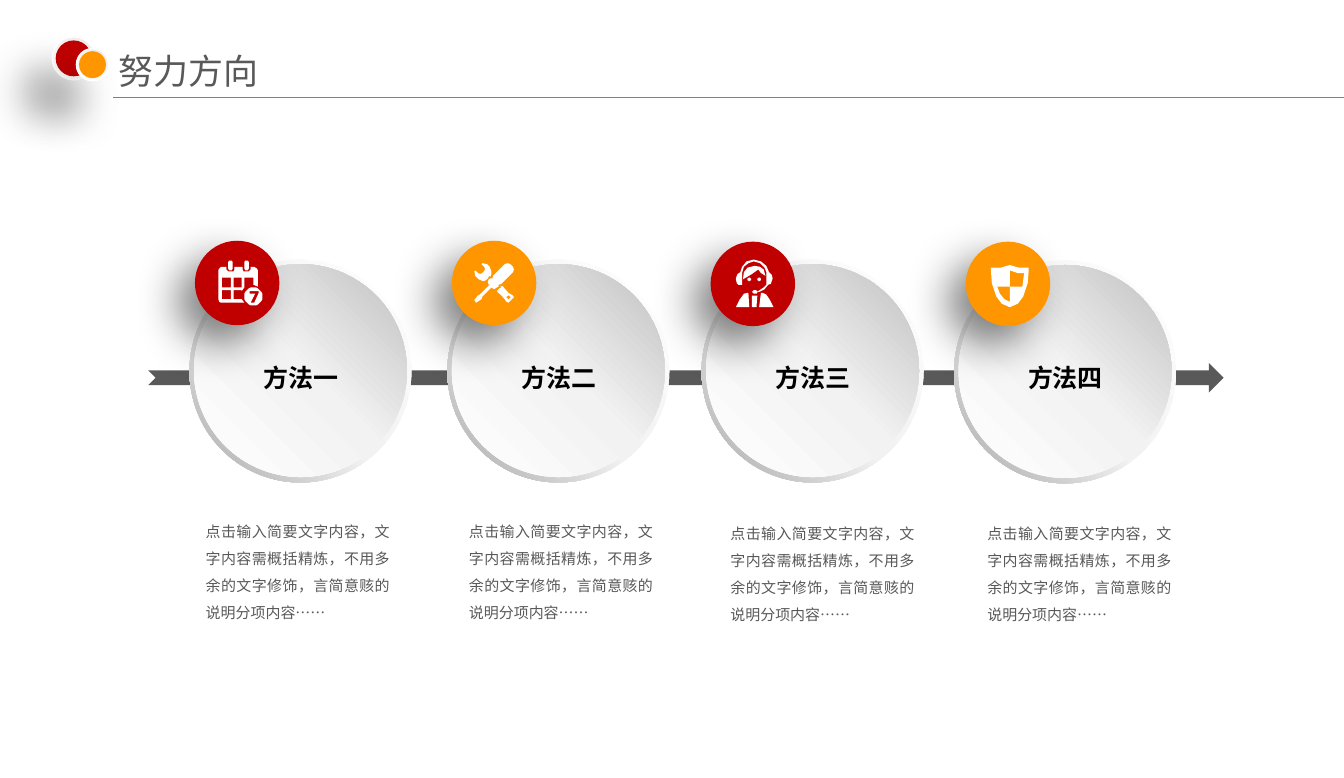
import math

import pptx
import pptx.dml.color
import pptx.enum.dml
import pptx.enum.shapes
import pptx.enum.text
import pptx.oxml.ns
import pptx.util
from lxml import etree

RGB = pptx.dml.color.RGBColor
SHAPE = pptx.enum.shapes.MSO_SHAPE
ALIGN = pptx.enum.text.PP_ALIGN
ANCHOR = pptx.enum.text.MSO_ANCHOR
AUTO = pptx.enum.text.MSO_AUTO_SIZE
qn = pptx.oxml.ns.qn

RED = RGB(0xC0, 0x00, 0x00)
ORANGE = RGB(0xFF, 0x96, 0x00)
WHITE = RGB(0xFF, 0xFF, 0xFF)
BLACK = RGB(0x00, 0x00, 0x00)
DARK = RGB(0x59, 0x59, 0x59)
RULE = RGB(0x80, 0x80, 0x80)
PALE = RGB(0xF2, 0xF2, 0xF2)
MIST = RGB(0xEB, 0xEB, 0xEB)
SNOW = RGB(0xFE, 0xFE, 0xFE)
SILVER = RGB(0xBF, 0xBF, 0xBF)
STEEL = RGB(0xA6, 0xA6, 0xA6)

RING_STOPS = [(0, WHITE), (55, PALE), (100, STEEL)]
DISC_STOPS = [(0, WHITE), (51, PALE), (100, SILVER)]
DOT_STOPS = [(0, MIST), (100, SNOW)]
BODY = "点击输入简要文字内容，文字内容需概括精炼，不用多余的文字修饰，言简意赅的说明分项内容……"


def px(n):
    """Hundredths of an inch in EMU."""
    return pptx.util.Emu(n * 9144)


def rect(x1, y1, x2, y2):
    return [(x1, y1), (x2, y1), (x2, y2), (x1, y2)]


def pill(x, y, w, h):
    """Upright bar with bevelled ends."""
    return [(x, y + 2), (x + 1, y), (x + w - 1, y), (x + w, y + 2),
            (x + w, y + h - 2), (x + w - 1, y + h), (x + 1, y + h), (x, y + h - 2)]


def circle(cx, cy, r):
    turns = [math.tau * i / 24 for i in range(24)]
    return [(cx + r * math.cos(a), cy + r * math.sin(a)) for a in turns]


# Icon outlines, measured from the top left corner of their badge
CALENDAR = [
    pill(37, 22, 5, 11), pill(55, 22, 5, 11),
    [(29, 29), (27, 31), (26, 33), (26, 65), (27, 68), (29, 69), (55, 69), (52, 65),
     (43, 65), (43, 55), (52, 55), (52, 56), (55, 52), (55, 41), (65, 41), (65, 49),
     (70, 51), (70, 33), (69, 31), (66, 29), (62, 29), (62, 32), (60, 34), (54, 34),
     (53, 32), (53, 29), (44, 29), (44, 32), (43, 34), (37, 34), (35, 32), (35, 29)],
    rect(30, 41, 40, 52), rect(43, 41, 52, 52), rect(30, 55, 40, 65),
    circle(65, 62, 10),
    [(61, 56), (71, 56), (71, 58), (66, 69), (62, 69), (67, 59), (61, 59)],
]
TOOLS = [
    circle(63, 63, 2),
    [(54, 50), (55, 52), (53, 53), (50, 56), (57, 63), (61, 68), (63, 69), (69, 63),
     (68, 61), (63, 58), (56, 50), (55, 51)],
    [(41, 40), (42, 39), (43, 40), (44, 37), (44, 34), (42, 29), (39, 26), (34, 25),
     (33, 26), (36, 29), (37, 32), (35, 35), (32, 37), (29, 36), (26, 33), (25, 34),
     (26, 39), (30, 43), (35, 45), (38, 44), (40, 42)],
    [(68, 29), (65, 26), (62, 25), (59, 26), (46, 39), (45, 42), (43, 42), (41, 43),
     (40, 46), (41, 49), (42, 49), (31, 60), (29, 61), (25, 66), (27, 69), (33, 65),
     (34, 62), (44, 52), (47, 54), (50, 52), (52, 51), (52, 49), (55, 48), (68, 35),
     (69, 32)],
]
AGENT = [
    [(48, 20), (40, 22), (35, 28), (33, 34), (30, 36), (28, 41), (29, 46), (31, 48),
     (35, 48), (35, 35), (37, 28), (42, 24), (48, 22), (55, 24), (60, 29), (62, 34),
     (62, 48), (59, 51), (53, 55), (52, 56), (54, 56), (60, 53), (64, 48), (67, 47),
     (69, 41), (68, 37), (65, 34), (62, 27), (56, 22)],
    [(49, 27), (41, 29), (37, 34), (36, 42), (46, 36), (53, 31), (56, 35), (61, 38),
     (59, 31), (55, 28)],
    circle(43, 42, 2), circle(54, 42, 2),
    [(50, 54), (48, 54), (46, 56), (48, 58), (51, 58), (52, 57), (52, 55)],
    [(58, 57), (56, 57), (54, 73), (70, 73), (66, 65), (62, 59)],
    [(41, 57), (42, 57), (43, 73), (28, 73), (32, 65), (37, 58)],
    [(46, 60), (52, 60), (51, 73), (46, 73)],
]
SHIELD = [
    [(28, 29), (39, 29), (49, 26), (59, 29), (70, 29), (70, 32), (69, 46), (64, 61),
     (58, 69), (49, 73), (40, 69), (34, 61), (29, 46), (28, 32)],
    [(49, 50), (63, 50), (65, 35), (58, 35), (49, 32)],
    [(49, 67), (49, 50), (35, 50), (38, 58), (43, 64)],
]

# label, ring left and top, badge left and top, body left and top, colour, icon
STEPS = [
    ("方法一", (211, 289), (217, 268), (229, 572), RED, CALENDAR),
    ("方法二", (498, 289), (503, 268), (522, 572), ORANGE, TOOLS),
    ("方法三", (781, 289), (791, 269), (813, 574), RED, AGENT),
    ("方法四", (1062, 290), (1075, 269), (1099, 574), ORANGE, SHIELD),
]


class Deck:
    font = "Noto Sans CJK SC"

    def __init__(self, s):
        self.s = s

    def run(self, p, text, size, color, bold=False):
        r = p.add_run()
        r.text = text
        f = r.font
        f.size, f.bold, f.name = pptx.util.Pt(size), bold, self.font
        f.color.rgb = color
        etree.SubElement(r._r.get_or_add_rPr(), qn("a:ea"), typeface=self.font)

    def title(self, text, x, y, w, h):
        sp = self.s.shapes.title
        sp.left, sp.top, sp.width, sp.height = map(px, (x, y, w, h))
        tf = sp.text_frame
        tf.vertical_anchor = ANCHOR.MIDDLE
        tf.margin_left = tf.margin_right = px(14)
        tf.margin_top = tf.margin_bottom = px(7)
        tf.paragraphs[0].alignment = ALIGN.LEFT
        self.run(tf.paragraphs[0], text, 28, DARK)

    def rule(self, x1, x2, y):
        c = self.s.shapes.add_connector(
            pptx.enum.shapes.MSO_CONNECTOR.STRAIGHT, px(x1), px(y), px(x2), px(y))
        c.line.color.rgb = RULE
        c.line.width = pptx.util.Pt(0.75)
        etree.SubElement(c._element.spPr, qn("a:effectLst"))

    def shape(self, kind, x, y, w, h, color=None):
        sp = self.s.shapes.add_shape(kind, px(x), px(y), px(w), px(h))
        sp.shadow.inherit = False
        sp.line.fill.background()
        if color is not None:
            sp.fill.solid()
            sp.fill.fore_color.rgb = color
        return sp

    def gradient(self, sp, stops, angle):
        """Fill with (percent, colour) stops along a clockwise angle."""
        sp.fill.gradient()
        sp.fill.gradient_angle = 360 - angle
        gs_list = sp._element.spPr.find(qn("a:gradFill")).find(qn("a:gsLst"))
        gs_list[:] = []
        for pos, color in stops:
            gs = etree.SubElement(gs_list, qn("a:gs"), pos=str(pos * 1000))
            etree.SubElement(gs, qn("a:srgbClr"), val=str(color))

    def shadow(self, sp, alpha, blur, dist, angle):
        effects = sp._element.spPr.find(qn("a:effectLst"))
        outer = etree.SubElement(
            effects, qn("a:outerShdw"), blurRad=str(blur * 12700), dist=str(dist * 12700),
            dir=str(angle * 60000), algn="ctr", rotWithShape="0")
        color = etree.SubElement(outer, qn("a:srgbClr"), val=str(BLACK))
        etree.SubElement(color, qn("a:alpha"), val=str(alpha * 1000))

    def dot(self, x, y, size, inset, color):
        """Coloured dot on a white-edged base with a shadow."""
        base = self.shape(SHAPE.OVAL, x, y, size, size)
        self.gradient(base, DOT_STOPS, 126)
        base.line.color.rgb = WHITE
        base.line.width = pptx.util.Pt(1)
        self.shadow(base, 38, 36, 35, 130)
        inner = size - 2 * inset
        self.shape(SHAPE.OVAL, x + inset, y + inset, inner, inner, color)

    def text(self, text, x, y, w, h, size, color, align, bold=False, wrap=True):
        tf = self.s.shapes.add_textbox(px(x), px(y), px(w), px(h)).text_frame
        tf.word_wrap = wrap
        tf.auto_size = AUTO.SHAPE_TO_FIT_TEXT
        p = tf.paragraphs[0]
        p.alignment = align
        if wrap:
            tf.margin_left = tf.margin_right = tf.margin_top = tf.margin_bottom = 0
            p.line_spacing = 1.5
        self.run(p, text, size, color, bold)

    def icon(self, outlines, x, y):
        fb = None
        for outline in outlines:
            points = [(x + dx, y + dy) for dx, dy in outline]
            if fb is None:
                fb = self.s.shapes.build_freeform(*points[0], scale=px(1))
            else:
                fb.move_to(*points[0])
            fb.add_line_segments(points[1:], close=True)
        sp = fb.convert_to_shape()
        sp.shadow.inherit = False
        sp.fill.solid()
        sp.fill.fore_color.rgb = WHITE
        sp.line.fill.background()

    def plate(self, label, x, y):
        ring = self.shape(SHAPE.DONUT, x, y, 247, 248)
        ring.adjustments[0] = 0.05
        self.gradient(ring, RING_STOPS, 135)
        disc = self.shape(SHAPE.OVAL, x + 5, y + 5, 237, 237)
        self.gradient(disc, DISC_STOPS, 315)
        self.text(label, x + 72, 399, 104, 44, 20, BLACK, ALIGN.CENTER, bold=True, wrap=False)

    def badge(self, x, y, color, outlines):
        sp = self.shape(SHAPE.OVAL, x, y, 94, 94, color)
        self.shadow(sp, 50, 35, 20, 135)
        self.icon(outlines, x, y)


def main():
    prs = pptx.Presentation()
    prs.slide_width, prs.slide_height = px(1496), px(866)
    deck = Deck(prs.slides.add_slide(prs.slide_layouts[5]))
    deck.rule(126, 1496, 109)
    deck.dot(58, 41, 48, 4, RED)
    deck.dot(85, 54, 36, 3, ORANGE)
    deck.title("努力方向", 118, 47, 520, 63)
    deck.shape(SHAPE.NOTCHED_RIGHT_ARROW, 165, 404, 1197, 33, DARK)
    for label, ring, badge, body, color, outlines in STEPS:
        deck.plate(label, *ring)
        deck.badge(*badge, color, outlines)
        deck.text(BODY, *body, 205, 120, 12, DARK, ALIGN.JUSTIFY)
    prs.save("out.pptx")


if __name__ == "__main__":
    main()
